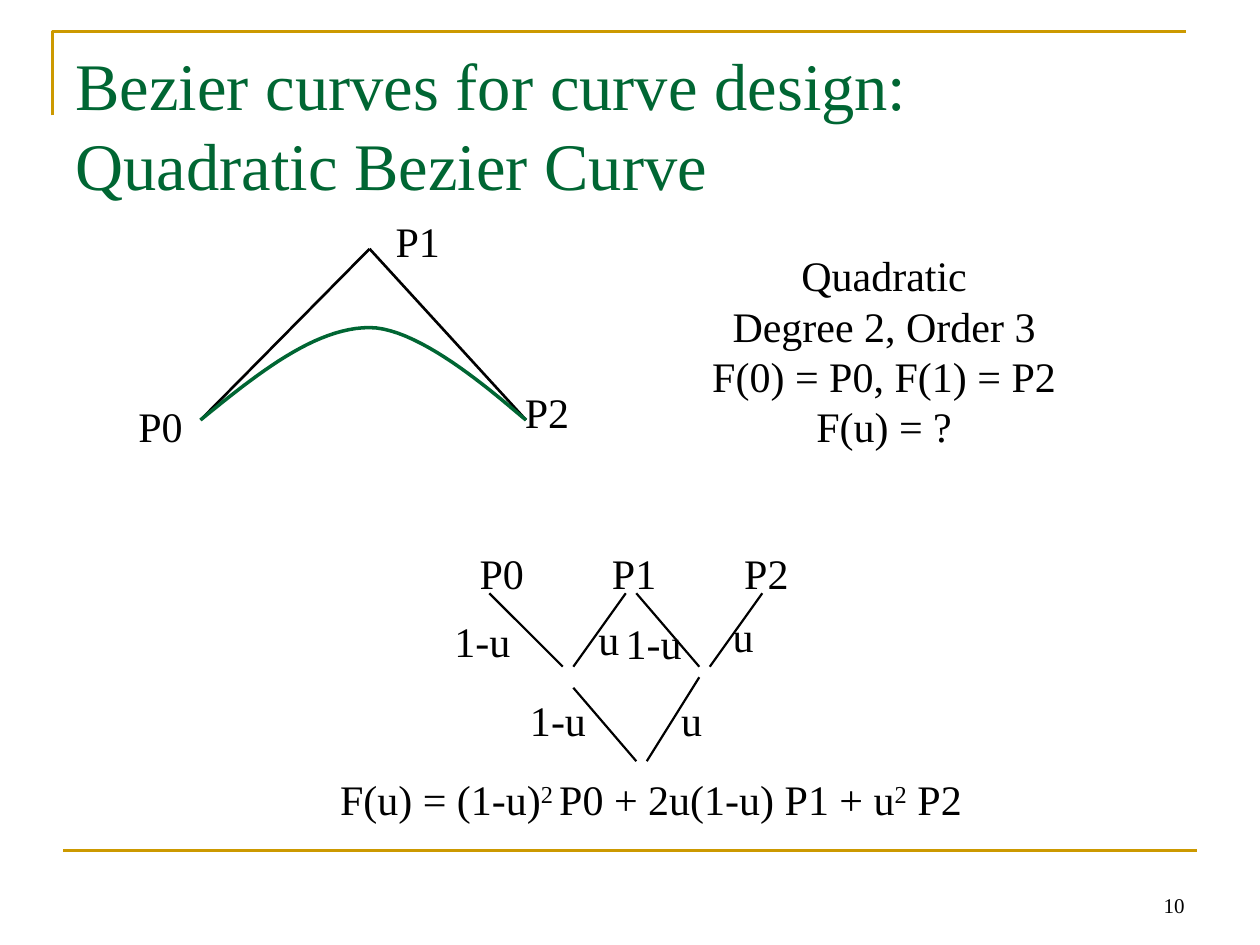
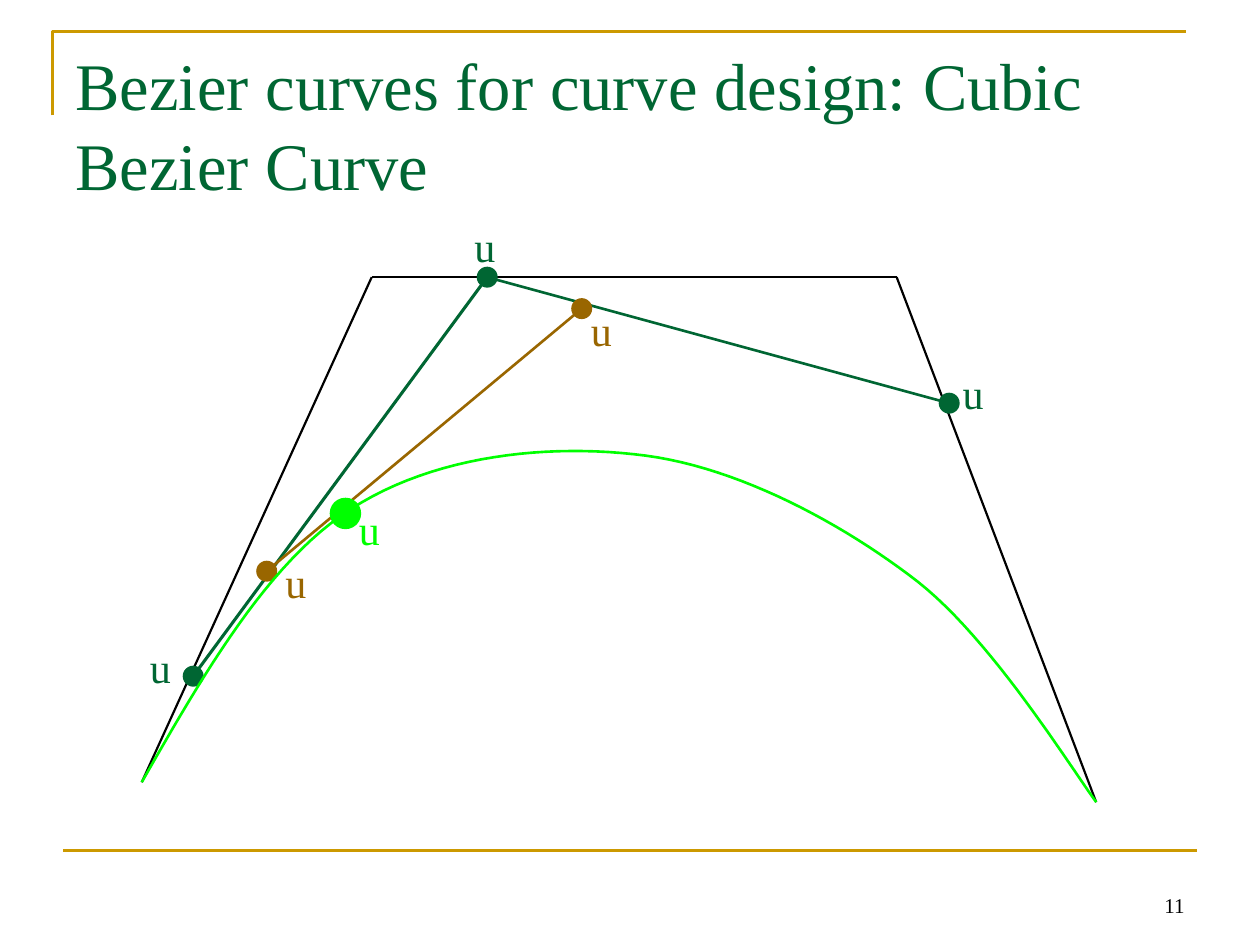
"""Build two slides on quadratic and cubic Bezier curves."""
import pptx
import pptx.dml.color
import pptx.enum.shapes
import pptx.enum.text
import pptx.oxml.xmlchemy
import pptx.util

FONT = "Times New Roman"
BLACK, GREEN, BROWN, LIME, GOLD = "000000", "006633", "996600", "00FF00", "CC9900"
STEPS = 24
LETTER_WIDTH = {"u": 4.3, "1-u": 7.7, "P0": 6.6, "P1": 6.6, "P2": 6.6}
colour_of = pptx.dml.color.RGBColor.from_string
alignments = pptx.enum.text.PP_ALIGN
anchors = pptx.enum.text.MSO_ANCHOR

presentation = pptx.Presentation()
presentation.slide_width = pptx.util.Inches(10)
presentation.slide_height = pptx.util.Inches(7.5)
CELL = presentation.slide_width // 120


def add_text(shape, paragraphs, size=24, colour=BLACK, alignment=alignments.LEFT):
    frame = shape.text_frame
    for index, runs in enumerate(paragraphs):
        paragraph = frame.paragraphs[0] if index == 0 else frame.add_paragraph()
        paragraph.alignment = alignment
        for text, superscript in runs:
            run = paragraph.add_run()
            run.text = text
            run.font.name = FONT
            run.font.size = pptx.util.Pt(size)
            run.font.color.rgb = colour_of(colour)
            if superscript:
                run.font._element.set("baseline", "30000")


def add_outline(slide, points, colour, width):
    corners = [(round(x * CELL), round(y * CELL)) for x, y in points]
    builder = slide.shapes.build_freeform(*corners[0])
    builder.add_line_segments(corners[1:], close=False)
    shape = builder.convert_to_shape()
    shape.shadow.inherit = False
    shape.fill.background()
    shape.line.color.rgb = colour_of(colour)
    shape.line.width = pptx.util.Pt(width)
    return shape


layout = presentation.slide_layouts[5]
quadratic = presentation.slides.add_slide(layout)
cubic = presentation.slides.add_slide(layout)

corner = add_outline(quadratic, [(5, 11), (5, 3), (113, 3)], GOLD, 1.5)
layout.shapes.element.append(corner.element)

titles = [
    (quadratic, "Bezier curves for curve design: Quadratic Bezier Curve", "10"),
    (cubic, "Bezier curves for curve design: Cubic Bezier Curve", "11"),
]
for slide, title_text, number in titles:
    title = slide.shapes.title
    title.left, title.top, title.width, title.height = [
        round(length * CELL) for length in (6, 3.6, 108, 15)]
    title.text_frame.vertical_anchor = anchors.TOP
    title.text_frame.auto_size = pptx.enum.text.MSO_AUTO_SIZE.NONE
    add_text(title, [[(title_text, False)]], 38, GREEN)
    number_box = slide.shapes.add_textbox(86 * CELL, 82 * CELL, 28 * CELL, 6 * CELL)
    number_box.text_frame.word_wrap = True
    number_box.text_frame.vertical_anchor = anchors.BOTTOM
    add_text(number_box, [[(number, False)]], 12, alignment=alignments.RIGHT)

lines = [
    (layout, GOLD, 1.5, (6, 81), (114, 81)),
    (quadratic, BLACK, 1.5, (19.1, 40), (35.2, 23.7)),
    (quadratic, BLACK, 1.5, (35.2, 23.7), (50.1, 40)),
    (quadratic, BLACK, 1.25, (46.6, 56.5), (53.6, 63.5)),
    (quadratic, BLACK, 1.25, (59.6, 56.5), (54.6, 63.5)),
    (quadratic, BLACK, 1.25, (60.6, 56.5), (66.6, 63.5)),
    (quadratic, BLACK, 1.25, (72.6, 56.5), (67.6, 63.5)),
    (quadratic, BLACK, 1.25, (54.6, 65.5), (60.6, 72.5)),
    (quadratic, BLACK, 1.25, (66.6, 64.5), (61.6, 72.5)),
    (cubic, BLACK, 1.25, (13.5, 74.5), (35.4, 26.4)),
    (cubic, BLACK, 1.25, (35.4, 26.4), (85.4, 26.4)),
    (cubic, BLACK, 1.25, (85.4, 26.4), (104.4, 76.4)),
    (cubic, GREEN, 1.75, (18.4, 64.4), (46.4, 26.4)),
    (cubic, GREEN, 1.5, (46.4, 26.4), (90.4, 38.4)),
    (cubic, BROWN, 1.5, (25.4, 54.4), (55.4, 29.4)),
]
for slide, colour, width, start, end in lines:
    canvas = quadratic if slide is layout else slide
    connector = canvas.shapes.add_connector(
        pptx.enum.shapes.MSO_CONNECTOR.STRAIGHT,
        *[round(length * CELL) for length in start + end])
    connector.line.color.rgb = colour_of(colour)
    connector.line.width = pptx.util.Pt(width)
    connector.element.spPr.append(pptx.oxml.xmlchemy.OxmlElement("a:effectLst"))
    if slide is layout:
        layout.shapes.element.append(connector.element)

dots = [
    (GREEN, 18.4, 64.4, 2), (GREEN, 46.4, 26.4, 2), (GREEN, 90.4, 38.4, 2),
    (BROWN, 25.4, 54.4, 2), (BROWN, 55.4, 29.4, 2), (LIME, 32.9, 48.9, 3),
]
for colour, x, y, diameter in dots:
    dot = cubic.shapes.add_shape(
        pptx.enum.shapes.MSO_SHAPE.OVAL,
        round((x - diameter / 2) * CELL), round((y - diameter / 2) * CELL),
        diameter * CELL, diameter * CELL)
    dot.shadow.inherit = False
    dot.fill.solid()
    dot.fill.fore_color.rgb = colour_of(colour)
    dot.line.fill.background()

curves = [
    (quadratic, GREEN, 2, [
        (19.1, 40), (24.5, 35.6), (30, 31.2), (35.2, 31.2),
        (40.3, 31.2), (48.2, 38.5), (50.1, 40)]),
    (cubic, LIME, 1.5, [
        (13.5, 74.5), (19.5, 64), (25.5, 53.6), (33.4, 48.5),
        (41.4, 43.3), (52.4, 42.2), (61.5, 43.4),
        (70.5, 44.6), (80.3, 49.9), (87.4, 55.4),
        (94.5, 61), (101.9, 73), (104.4, 76.4)]),
]
for slide, colour, width, controls in curves:
    points = [controls[0]]
    for first in range(0, len(controls) - 1, 3):
        for step in range(1, STEPS + 1):
            u = step / STEPS
            weights = ((1 - u) ** 3, 3 * u * (1 - u) ** 2, 3 * u ** 2 * (1 - u), u ** 3)
            segment = list(zip(weights, controls[first:first + 4]))
            points.append((sum(weight * x for weight, (x, y) in segment),
                           sum(weight * y for weight, (x, y) in segment)))
    add_outline(slide, points, colour, width)

labels = [
    (quadratic, "P0", BLACK, 12, 37.6),
    (quadratic, "P1", BLACK, 36.5, 19.9),
    (quadratic, "P2", BLACK, 48.8, 36.2),
    (quadratic, "P0", BLACK, 44.5, 51.6),
    (quadratic, "P1", BLACK, 57.1, 51.6),
    (quadratic, "P2", BLACK, 69.7, 51.6),
    (quadratic, "1-u", BLACK, 42.1, 58),
    (quadratic, "1-u", BLACK, 58.4, 58.2),
    (quadratic, "u", BLACK, 55.8, 57.8),
    (quadratic, "u", BLACK, 68.6, 57.6),
    (quadratic, "1-u", BLACK, 49.3, 65.6),
    (quadratic, "u", BLACK, 63.7, 65.6),
    (cubic, "u", GREEN, 13.1, 60.5),
    (cubic, "u", GREEN, 44, 20.4),
    (cubic, "u", GREEN, 90.5, 34.4),
    (cubic, "u", BROWN, 26, 52.4),
    (cubic, "u", BROWN, 55.1, 28.4),
    (cubic, "u", LIME, 33, 47.4),
]
for slide, text, colour, x, y in labels:
    label = slide.shapes.add_textbox(
        *[round(length * CELL) for length in (x, y, LETTER_WIDTH[text], 6)])
    label.text_frame.word_wrap = False
    add_text(label, [[(text, False)]], colour=colour)

facts = ["Quadratic", "Degree 2, Order 3", "F(0) = P0, F(1) = P2", "F(u) = ?"]
formula = [("F(u) = (1-u)", False), ("2 ", True), ("P0 + 2u(1-u) P1 + u", False),
           ("2", True), (" P2", False)]
statements = [
    ((66.6, 23.2, 35.2, 20.4), [[(fact, False)] for fact in facts], alignments.CENTER),
    ((31.2, 73.1, 61.6, 6), [formula], alignments.LEFT),
]
for bounds, paragraphs, alignment in statements:
    statement = quadratic.shapes.add_textbox(*[round(length * CELL) for length in bounds])
    statement.text_frame.word_wrap = False
    add_text(statement, paragraphs, alignment=alignment)

presentation.save("out.pptx")
